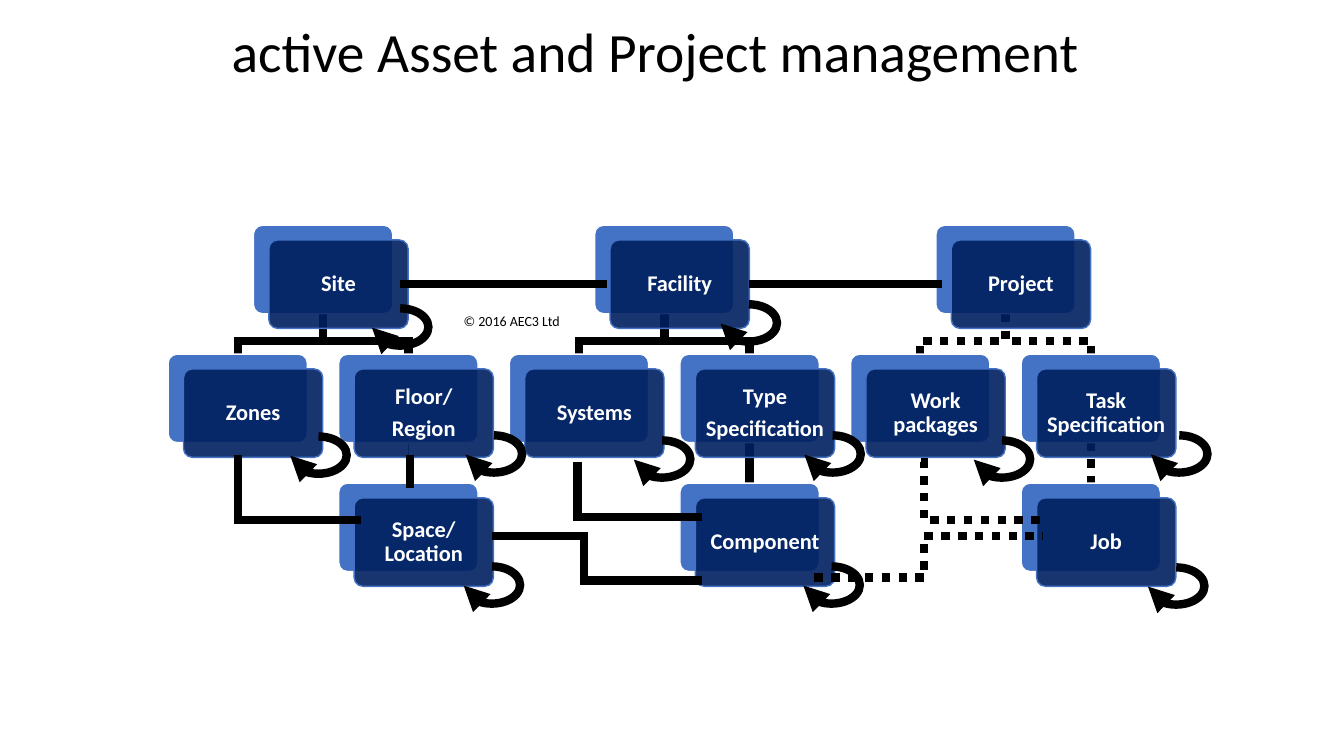
import lxml.etree
import pptx
import pptx.dml.color
import pptx.enum.dml
import pptx.enum.shapes
import pptx.enum.text
import pptx.oxml.ns
import pptx.util
from dataclasses import dataclass

Pt = pptx.util.Pt
qn = pptx.oxml.ns.qn
RGB = pptx.dml.color.RGBColor.from_string
SHAPE = pptx.enum.shapes.MSO_SHAPE
CONNECTOR = pptx.enum.shapes.MSO_CONNECTOR
ALIGN = pptx.enum.text.PP_ALIGN


@dataclass
class Theme:
    font: str = "Calibri"
    title_size: float = 39.6
    label_size: float = 16
    credit_size: float = 10
    ink: str = "000000"
    paper: str = "FFFFFF"
    back_card: str = "4472C4"
    front_card: str = "002060"
    thin_link: str = "3E67B2"
    heavy: float = 6
    thin: float = 1


theme = Theme()


def stroke(item, color=theme.ink, width=theme.heavy, dotted=False):
    item.line.color.rgb = RGB(color)
    item.line.width = Pt(width)
    if dotted:
        item.line.dash_style = pptx.enum.dml.MSO_LINE.ROUND_DOT
    outline = item.element.spPr.find(qn("a:ln"))
    lxml.etree.SubElement(outline, qn("a:miter"), lim="800000")
    lxml.etree.SubElement(item.element.spPr, qn("a:effectLst"))


def write(box, lines, size, color, align, bold=False):
    frame = box.text_frame
    frame.word_wrap = True
    frame.vertical_anchor = pptx.enum.text.MSO_ANCHOR.MIDDLE
    frame.text = "\n".join(lines)
    for para in frame.paragraphs:
        para.alignment = align
        para.font.name = theme.font
        para.font.size = Pt(size)
        para.font.bold = bold
        para.font.color.rgb = RGB(color)
    return frame


deck = pptx.Presentation()
deck.slide_width, deck.slide_height = Pt(960), Pt(540)
page = deck.slides.add_slide(deck.slide_layouts[6])

title = page.shapes.add_textbox(Pt(158.4), Pt(22.3), Pt(631.4), Pt(33.1))
title_frame = write(title, ["active Asset and Project management"],
                    theme.title_size, theme.ink, ALIGN.LEFT)
title_frame.paragraphs[0].line_spacing = 0.9

card_width, card_height = 99.5, 63.2
first_left, column_step = 120.1, 121.87
first_top, row_step = 160.9, 92.1
shift_x, shift_y = 11, 10.5

for parent_column, dotted in ((4.5, True), (2.5, False), (0.5, False)):
    parent_x = first_left + parent_column * column_step + card_width / 2
    parent_bottom = first_top + card_height
    for side in (1, -1):
        child_x = parent_x + side * column_step / 2
        branch = page.shapes.build_freeform(Pt(parent_x), Pt(parent_bottom))
        branch.add_line_segments([
            (Pt(parent_x), Pt(243.4)),
            (Pt(child_x), Pt(243.4)),
            (Pt(child_x), Pt(first_top + row_step)),
        ], close=False)
        link = branch.convert_to_shape()
        link.fill.background()
        stroke(link, dotted=dotted)

cards = [
    (["Site"], 0.5, 0, (84.7, 59.4)),
    (["Zones"], 0, 1, (87.3, 58.8)),
    (["Floor/", "Region"], 1, 1, (90.7, 58)),
    (["Space/ Location"], 1, 2, (89.3, 59.5)),
    (["Facility"], 2.5, 0, (90, 56.5)),
    (["Systems"], 2, 1, (89, 61.6)),
    (["Type", "Specification"], 3, 1, (88.9, 58)),
    (["Component"], 3, 2, (88.2, 59.5)),
    (["Project"], 4.5, 0, None),
    (["Work packages"], 4, 1, (88, 61.6)),
    (["Task Specification"], 5, 1, (92.8, 58)),
    (["Job"], 5, 2, (90.6, 60.2)),
]
backs, fronts = {}, {}
for lines, column, row, loop in cards:
    name = lines[0]
    left = first_left + column * column_step
    top = first_top + row * row_step
    for stack, shift, fill, edge in (
        (backs, 0, theme.back_card, theme.paper),
        (fronts, 1, theme.front_card, theme.back_card),
    ):
        card = page.shapes.add_shape(
            SHAPE.ROUNDED_RECTANGLE,
            Pt(left + shift * shift_x), Pt(top + shift * shift_y),
            Pt(card_width), Pt(card_height))
        card.adjustments[0] = 0.1
        card.fill.solid()
        card.fill.fore_color.rgb = RGB(fill)
        stroke(card, edge, theme.thin)
        stack[name] = card
    tint = card.element.spPr.find(qn("a:solidFill"))[0]
    lxml.etree.SubElement(tint, qn("a:alpha"), val="90000")
    frame = write(card, lines, theme.label_size, theme.paper, ALIGN.CENTER, True)
    frame.margin_left = frame.margin_right = Pt(3)
    frame.margin_top = frame.margin_bottom = Pt(3)
    for para in frame.paragraphs:
        para.line_spacing = 0.9
        para.space_after = Pt(5.6)

for upper, lower, color, width, dotted in (
    ("Task Specification", "Job", theme.ink, theme.heavy, True),
    ("Type", "Component", theme.ink, theme.heavy, False),
    ("Floor/", "Space/ Location", theme.thin_link, theme.thin, False),
):
    link = page.shapes.add_connector(CONNECTOR.STRAIGHT, 0, 0, 0, 0)
    link.begin_connect(backs[upper], 2)
    link.end_connect(backs[lower], 0)
    stroke(link, color, width, dotted)
    link.element.getparent().insert(2, link.element)

for x1, y1, x2, y2, bend, dotted in (
    (169.9, 324.7, 257.8, 371.5, 0, False),
    (351.4, 383, 501.1, 414.7, 0.44, False),
    (412.6, 329.8, 501.1, 369.4, 0, False),
    (658.1, 329.8, 745.9, 371.5, 0.02, True),
    (581.8, 412.6, 745.2, 383, 0.48, True),
):
    link = page.shapes.add_connector(CONNECTOR.ELBOW, Pt(x1), Pt(y1), Pt(x2), Pt(y2))
    guides = link.element.spPr.find(qn("a:prstGeom")).find(qn("a:avLst"))
    lxml.etree.SubElement(guides, qn("a:gd"), name="adj1",
                          fmla=f"val {round(bend * 100000)}")
    stroke(link, dotted=dotted)

middle = first_top + shift_y + card_height / 2
for x1, y1, x2, y2, start in (
    (285.8, middle, 433.4, middle, None),
    (535, middle, 673.2, middle, "Facility"),
    (293, 324.7, 293, 348.5, None),
):
    link = page.shapes.add_connector(CONNECTOR.STRAIGHT, Pt(x1), Pt(y1), Pt(x2), Pt(y2))
    if start:
        link.begin_connect(fronts[start], 3)
    stroke(link)

credit = page.shapes.add_textbox(Pt(263.5), Pt(220.3), Pt(143.3), Pt(17.3))
write(credit, ["© 2016 AEC3 Ltd"], theme.credit_size, theme.ink, ALIGN.RIGHT)

for lines, column, row, loop in cards:
    if loop:
        back = backs[lines[0]]
        arc = page.shapes.add_shape(
            SHAPE.ARC, back.left + Pt(loop[0]), back.top + Pt(loop[1]),
            Pt(40.3), Pt(26.6))
        arc.adjustments[0] = 162
        arc.adjustments[1] = 107.26
        arc.fill.background()
        stroke(arc)
        lxml.etree.SubElement(arc.element.spPr.find(qn("a:ln")),
                              qn("a:tailEnd"), type="triangle")

deck.save("out.pptx")
